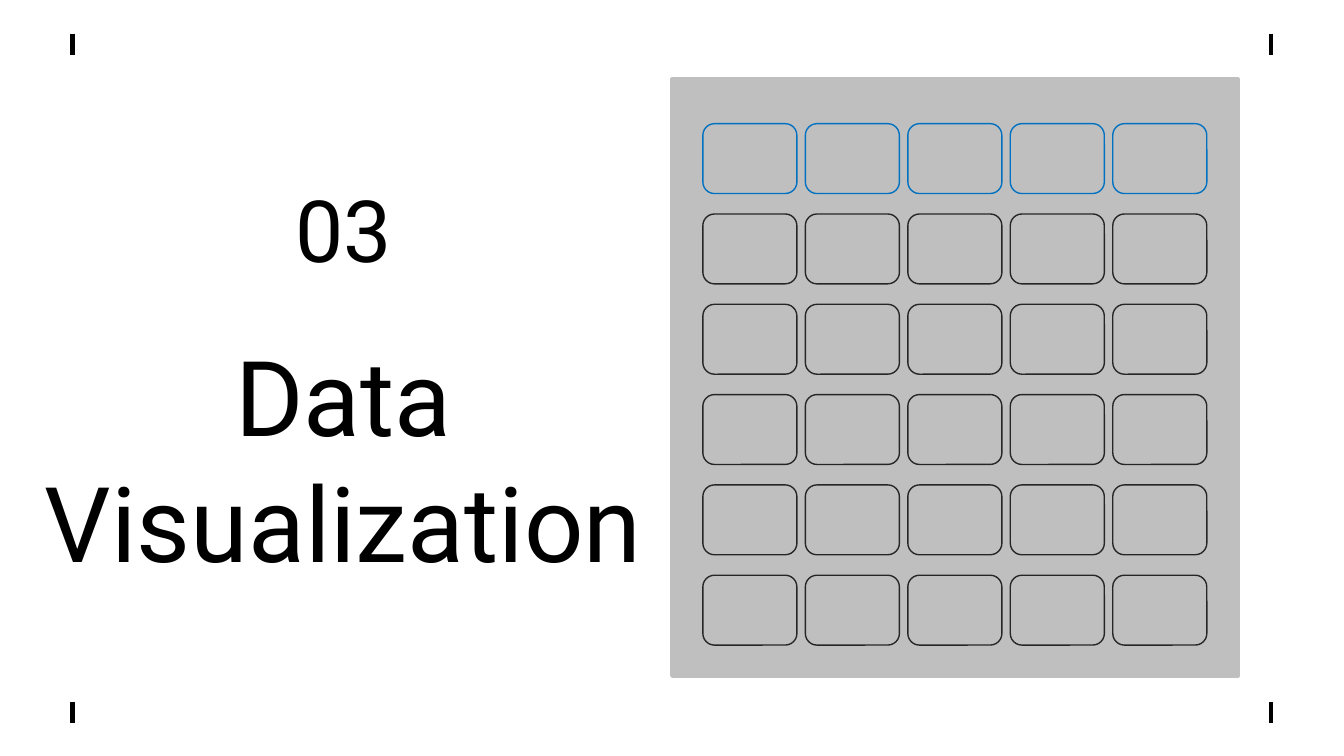
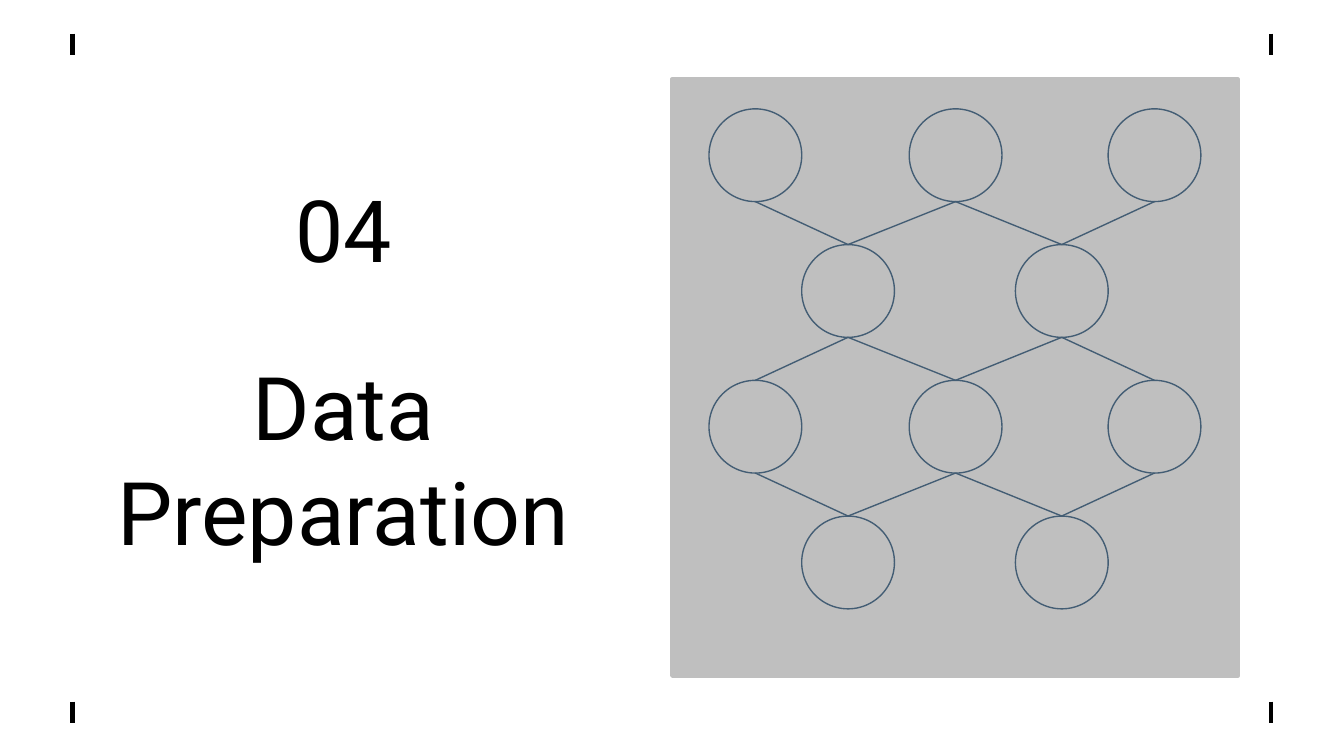
from dataclasses import dataclass
from itertools import product

from lxml.etree import SubElement
from pptx import Presentation
from pptx.dml.color import RGBColor
from pptx.enum.shapes import MSO_CONNECTOR, MSO_SHAPE
from pptx.enum.text import MSO_ANCHOR, MSO_AUTO_SIZE, PP_ALIGN
from pptx.oxml.ns import qn
from pptx.util import Inches, Pt


@dataclass(frozen=True)
class Theme:
    font: str = "Roboto"
    ink: RGBColor = RGBColor(0, 0, 0)
    paper: RGBColor = RGBColor(0xFF, 0xFF, 0xFF)
    panel: RGBColor = RGBColor(0xBF, 0xBF, 0xBF)
    header_card: RGBColor = RGBColor(0x00, 0x70, 0xC0)
    card: RGBColor = RGBColor(0x26, 0x26, 0x26)
    network: RGBColor = RGBColor(0x43, 0x5D, 0x74)
    number_size: int = 46
    thin: float = 0.75
    tick: float = 2.25
    border: float = 2


THEME = Theme()


def add_outline(s, kind, left, top, width, height, color, weight=THEME.thin):
    sp = s.shapes.add_shape(kind, Inches(left), Inches(top), Inches(width), Inches(height))
    sp.shadow.inherit = False
    sp.fill.background()
    sp.line.color.rgb = color
    sp.line.width = Pt(weight)
    return sp


def add_line(s, x1, y1, x2, y2, color, weight=THEME.thin):
    line = s.shapes.add_connector(
        MSO_CONNECTOR.STRAIGHT, Inches(x1), Inches(y1), Inches(x2), Inches(y2))
    line.line.color.rgb = color
    line.line.width = Pt(weight)
    SubElement(line._element.spPr, qn("a:effectLst"))


def format_heading(sp, text, size, left, top, width, height):
    sp.left, sp.top = Inches(left), Inches(top)
    sp.width, sp.height = Inches(width), Inches(height)
    tf = sp.text_frame
    tf.word_wrap = True
    tf.auto_size = MSO_AUTO_SIZE.NONE
    tf.vertical_anchor = MSO_ANCHOR.MIDDLE
    tf.margin_left = tf.margin_right = tf.margin_top = tf.margin_bottom = Inches(0.1)
    tf.text = text
    p = tf.paragraphs[0]
    p.alignment = PP_ALIGN.CENTER
    for r in p.runs:
        r.font.name = THEME.font
        r.font.size = Pt(size)
        r.font.color.rgb = THEME.ink


def add_section(prs, number, title, title_size):
    s = prs.slides.add_slide(prs.slide_layouts[5])
    s.background.fill.solid()
    s.background.fill.fore_color.rgb = THEME.paper
    format_heading(s.shapes.title, title, title_size, 0.15, 2.01, 4.81, 2.79)
    number_box = s.shapes.add_textbox(0, 0, 0, 0)
    format_heading(number_box, number, THEME.number_size, 1.26, 0.81, 2.59, 1.77)
    panel = add_outline(s, MSO_SHAPE.RECTANGLE, 5, 0.59, 4.21, 4.44, THEME.panel, THEME.border)
    panel.fill.solid()
    panel.fill.fore_color.rgb = THEME.panel
    for x, y in product((0.54, 9.46), (0.25, 5.22)):
        add_line(s, x, y, x, y + 0.16, THEME.ink, THEME.tick)
    return s


def add_card_grid(s, rows=6, cols=5):
    left, top, right, bottom = 5.23, 0.92, 8.98, 4.8
    width, height = 0.7, 0.52
    step_x = (right - left - width) / (cols - 1)
    step_y = (bottom - top - height) / (rows - 1)
    for row, col in product(range(rows), range(cols)):
        color = THEME.card if row else THEME.header_card
        add_outline(s, MSO_SHAPE.FLOWCHART_ALTERNATE_PROCESS,
                    left + col * step_x, top + row * step_y, width, height, color)


def add_network(s, rows=4):
    top, step, size = 0.81, 1.01, 0.69
    wide, narrow = (5.62, 7.11, 8.59), (6.31, 7.9)
    for row in range(rows):
        y = top + row * step
        for x in narrow if row % 2 else wide:
            add_outline(s, MSO_SHAPE.OVAL, x - size / 2, y, size, size, THEME.network)
        if row == rows - 1:
            continue
        for i, x in enumerate(narrow):
            for neighbour in wide[i:i + 2]:
                start, end = (x, neighbour) if row % 2 else (neighbour, x)
                add_line(s, start, y + size, end, y + step, THEME.network)


def main():
    prs = Presentation()
    prs.slide_width = Inches(10)
    prs.slide_height = prs.slide_width * 9 // 16
    add_card_grid(add_section(prs, "03", "Data\vVisualization", 56))
    add_network(add_section(prs, "04", "Data\vPreparation", 47))
    prs.save("out.pptx")


if __name__ == "__main__":
    main()
